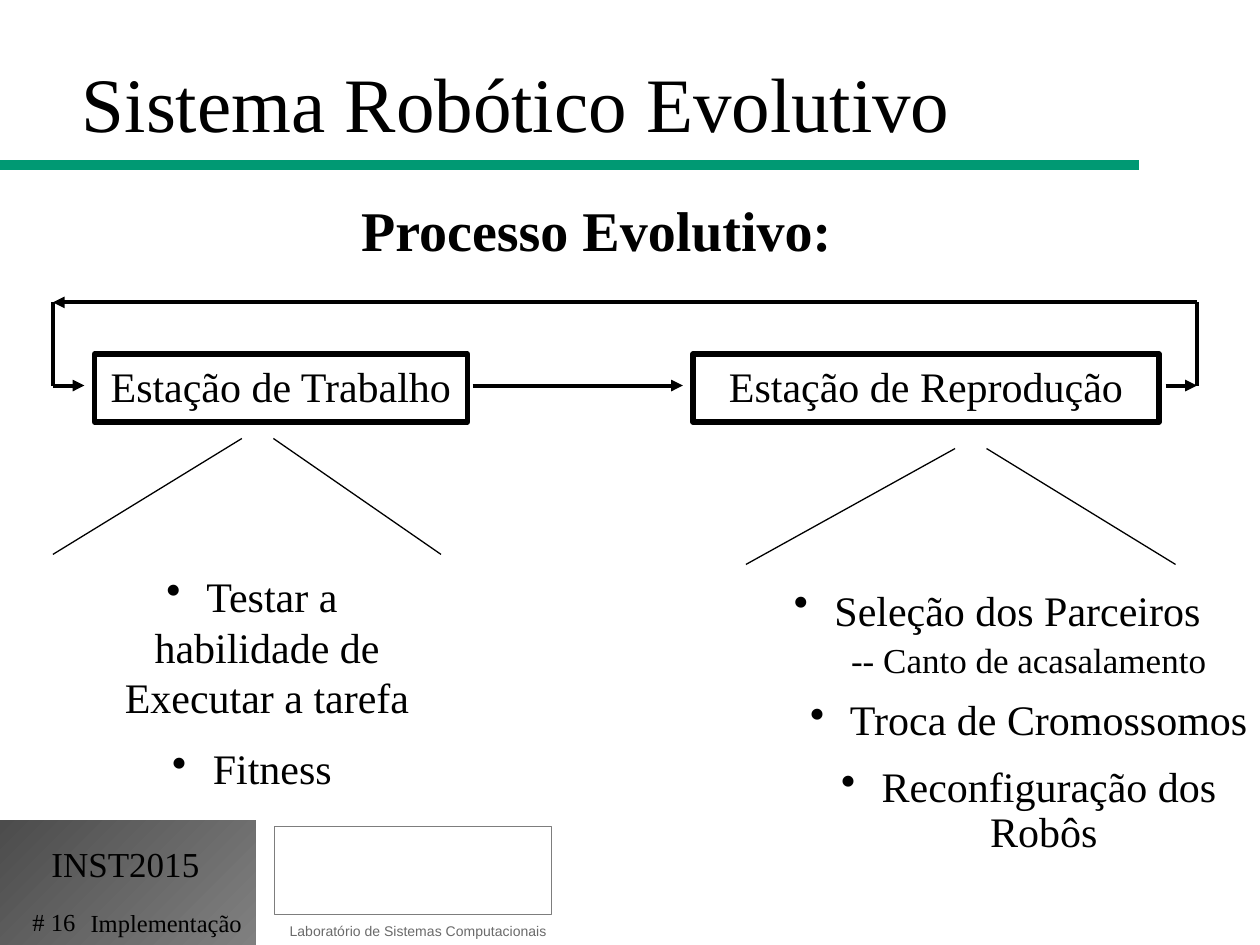
from lxml import etree
from pptx import Presentation
from pptx.dml.color import RGBColor
from pptx.enum.shapes import MSO_CONNECTOR, MSO_SHAPE
from pptx.enum.text import MSO_ANCHOR, PP_ALIGN
from pptx.oxml.ns import qn
from pptx.util import Inches, Pt

STRAIGHT = MSO_CONNECTOR.STRAIGHT
RECTANGLE = MSO_SHAPE.RECTANGLE
LEFT, CENTER = PP_ALIGN.LEFT, PP_ALIGN.CENTER
TOP, MIDDLE = MSO_ANCHOR.TOP, MSO_ANCHOR.MIDDLE
TITLE_ONLY = 5


def color(value):
    return RGBColor.from_string(value)


class SlideBuilder:
    serif = "Times New Roman"
    sans = "Arial"
    ink = "000000"
    green = "009973"
    gray = "6A6A6A"

    def __init__(self, presentation):
        self.slide = presentation.slides.add_slide(
            presentation.slide_layouts[TITLE_ONLY])

    def style(self, paragraph, size, align=LEFT, bold=False, font=None, ink=None):
        paragraph.alignment = align
        paragraph.font.size = Pt(size)
        paragraph.font.bold = bold
        paragraph.font.name = font or self.serif
        paragraph.font.color.rgb = color(ink or self.ink)

    def title(self, text, left, top, width, height):
        shape = self.slide.shapes.title
        shape.left, shape.top = Inches(left), Inches(top)
        shape.width, shape.height = Inches(width), Inches(height)
        shape.text_frame.text = text
        shape.text_frame.vertical_anchor = MIDDLE
        self.style(shape.text_frame.paragraphs[0], 44)

    def frame(self, left, top, width, height, wrap=True):
        shape = self.slide.shapes.add_textbox(
            Inches(left), Inches(top), Inches(width), Inches(height))
        shape.text_frame.word_wrap = wrap
        return shape.text_frame

    def text(self, text, left, top, width, height, size, wrap=True, **style):
        frame = self.frame(left, top, width, height, wrap)
        frame.text = text
        self.style(frame.paragraphs[0], size, **style)

    def rectangle(self, left, top, width, height):
        shape = self.slide.shapes.add_shape(
            RECTANGLE, Inches(left), Inches(top), Inches(width), Inches(height))
        shape.shadow.inherit = False
        return shape

    def gradient_panel(self, left, top, width, height, colors):
        shape = self.rectangle(left, top, width, height)
        shape.line.fill.background()
        shape.fill.gradient()
        shape.fill.gradient_angle = 315
        for stop, value in zip(shape.fill.gradient_stops, colors):
            stop.color.rgb = color(value)

    def outline(self, left, top, width, height, line_color, line_width):
        shape = self.rectangle(left, top, width, height)
        shape.fill.background()
        shape.line.color.rgb = color(line_color)
        shape.line.width = Pt(line_width)
        return shape

    def station(self, text, left, top, width, height):
        frame = self.outline(left, top, width, height, self.ink, 3).text_frame
        frame.word_wrap = False
        frame.vertical_anchor = TOP
        frame.text = text
        self.style(frame.paragraphs[0], 24, CENTER)

    def line(self, start, end, width, arrow=False, line_color=None):
        points = [Inches(value) for value in (*start, *end)]
        connector = self.slide.shapes.add_connector(STRAIGHT, *points)
        connector.line.color.rgb = color(line_color or self.ink)
        connector.line.width = Pt(width)
        if arrow:
            line = connector.line._get_or_add_ln()
            etree.SubElement(line, qn("a:tailEnd"), type="triangle")
        etree.SubElement(connector._element.spPr, qn("a:effectLst"))

    def bullets(self, items, left, top, width, height):
        frame = self.frame(left, top, width, height)
        for index, (text, size, spacing, margin, bullet) in enumerate(items):
            paragraph = frame.paragraphs[0] if index == 0 else frame.add_paragraph()
            paragraph.text = text
            self.style(paragraph, size, CENTER)
            paragraph.line_spacing = spacing
            paragraph.space_before = Pt(12)
            properties = paragraph._p.get_or_add_pPr()
            properties.set("marL", str(Inches(margin)))
            if bullet:
                properties.set("indent", str(-Inches(0.24)))
                mark = etree.Element(qn("a:buChar"), char="•")
                properties.find(qn("a:defRPr")).addprevious(mark)


def main():
    presentation = Presentation()
    presentation.slide_width, presentation.slide_height = Inches(10), Inches(7.5)
    builder = SlideBuilder(presentation)

    builder.gradient_panel(0, 6.51, 2.03, 0.99, ("4C4C4C", "808080"))
    builder.text("Laboratório de Sistemas Computacionais", 2.13, 7.27, 2.38, 0.24, 8,
                 align=CENTER, font=builder.sans, ink=builder.gray)
    builder.outline(2.18, 6.56, 2.2, 0.7, "7D7D7D", 0.5)
    builder.text("INST2015", 0, 6.64, 1.99, 0.45, 20, align=CENTER)
    builder.line((0, 1.31), (9.04, 1.31), 6, line_color=builder.green)
    builder.text("# 16", 0.16, 7.15, 0.94, 0.31, 14)
    builder.text("Implementação", 0.62, 7.16, 1.41, 0.34, 14, wrap=False)

    builder.title("Sistema Robótico Evolutivo", 0.55, 0, 8.5, 1.61)
    builder.text("Processo Evolutivo:", 2.75, 1.5, 3.97, 0.64, 32, wrap=False,
                 align=CENTER, bold=True)
    builder.station("Estação de Trabalho", 0.75, 2.81, 2.96, 0.54)
    builder.station("Estação de Reprodução", 5.5, 2.81, 3.7, 0.54)

    loop_left, loop_right, loop_top, flow = 0.42, 9.5, 2.4, 3.06
    for start, end, arrow in (
        ((3.75, flow), (5.42, flow), True),
        ((9.25, flow), (loop_right, flow), True),
        ((loop_right, flow), (loop_right, loop_top), False),
        ((loop_right, loop_top), (loop_left, loop_top), True),
        ((loop_left, loop_top), (loop_left, flow), False),
        ((loop_left, flow), (0.67, flow), True),
    ):
        builder.line(start, end, 2.25, arrow)

    for center, top, left, right in ((2.05, 3.48, 0.42, 3.5),
                                     (7.71, 3.56, 5.92, 9.33)):
        builder.line((center - 0.13, top), (left, top + 0.92), 0.75)
        builder.line((center + 0.12, top), (right, top + 0.92), 0.75)

    builder.bullets((
        (" Testar a habilidade de Executar a tarefa", 24, 1.0, 0.24, True),
        (" Fitness", 24, 1.0, 0.24, True),
    ), 0.5, 4.48, 3, 1.51)
    builder.bullets((
        (" Seleção dos Parceiros", 24, 0.6, 0.24, True),
        ("-- Canto de acasalamento", 20, 0.6, 0.5, False),
        (" Troca de Cromossomos", 24, 0.9, 0.74, True),
        (" Reconfiguração dos Robôs", 24, 0.9, 0.74, True),
    ), 5.83, 4.73, 4.17, 1.82)

    presentation.save("out.pptx")


if __name__ == "__main__":
    main()
